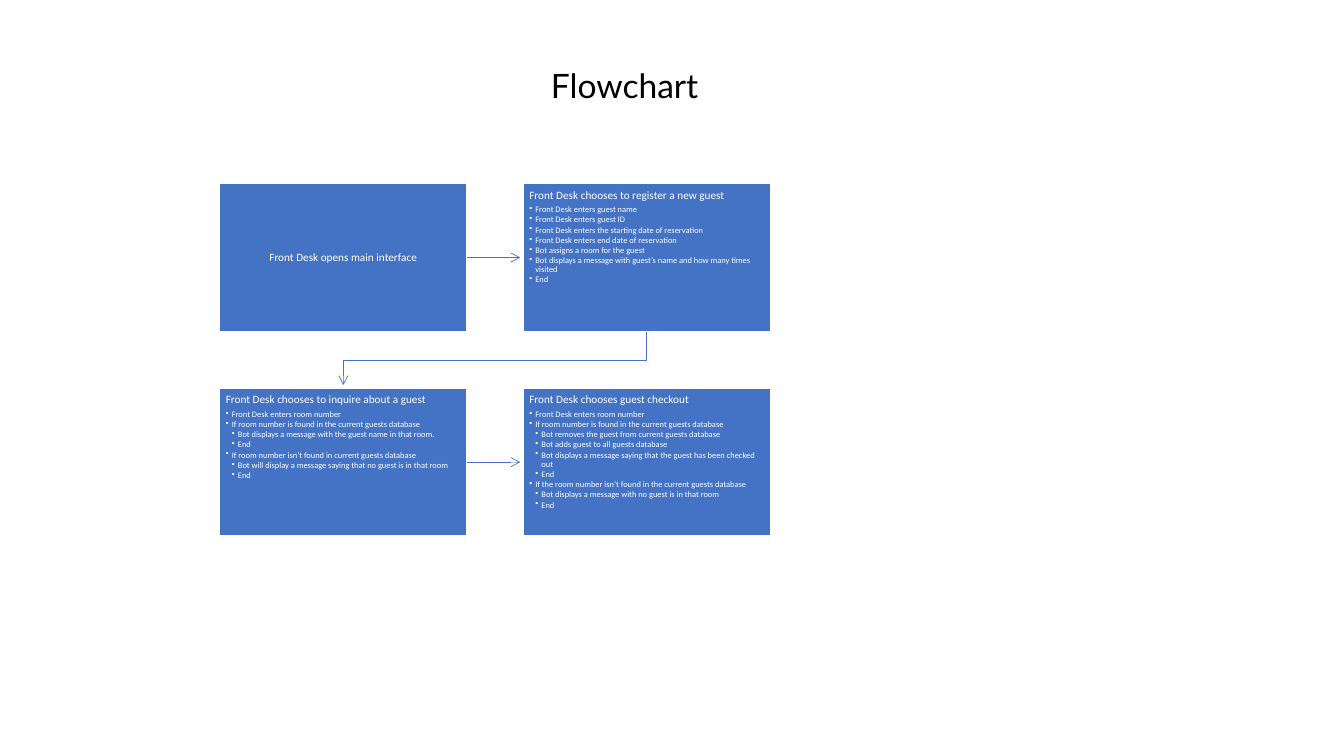
from lxml.etree import SubElement
from pptx import Presentation
from pptx.dml.color import RGBColor
from pptx.enum.shapes import MSO_CONNECTOR, MSO_SHAPE
from pptx.enum.text import MSO_ANCHOR, MSO_AUTO_SIZE, PP_ALIGN
from pptx.oxml.ns import qn
from pptx.util import Inches, Pt

HUES = {"blue": "4472C4", "white": "FFFFFF", "black": "000000"}

# Grid of boxes, in inches
LEFT, TOP = 2.18, 1.82
WIDE, HIGH = 2.45, 1.47
COL, ROW = 3.01, 2.03
INSET = 0.06
GAP = 0.53  # length of an arrow between two boxes

# Each step: column, row, heading, list of (level, line)
STEPS = [
    (0, 0, "Front Desk opens main interface", []),
    (1, 0, "Front Desk chooses to register a new guest", [
        (1, "Front Desk enters guest name"),
        (1, "Front Desk enters guest ID"),
        (1, "Front Desk enters the starting date of reservation"),
        (1, "Front Desk enters end date of reservation"),
        (1, "Bot assigns a room for the guest"),
        (1, "Bot displays a message with guest’s name and how many times visited"),
        (1, "End")]),
    (0, 1, "Front Desk chooses to inquire about a guest", [
        (1, "Front Desk enters room number"),
        (1, "If room number is found in the current guests database"),
        (2, "Bot displays a message with the guest name in that room."),
        (2, "End"),
        (1, "If room number isn’t found in current guests database"),
        (2, "Bot will display a message saying that no guest is in that room"),
        (2, "End")]),
    (1, 1, "Front Desk chooses guest checkout", [
        (1, "Front Desk enters room number"),
        (1, "If room number is found in the current guests database"),
        (2, "Bot removes the guest from current guests database"),
        (2, "Bot adds guest to all guests database"),
        (2, "Bot displays a message saying that the guest has been checked out"),
        (2, "End"),
        (1, "If the room number isn’t found in the current guests database"),
        (2, "Bot displays a message with no guest is in that room"),
        (2, "End")]),
]


def write(para, text, size, font, hue, after=0):
    """Add one run to a paragraph and set its type and spacing."""
    para.line_spacing = 0.9
    para.space_before, para.space_after = Pt(0), Pt(after)
    run = para.add_run()
    run.text = text
    run.font.size, run.font.name = Pt(size), font
    run.font.color.rgb = RGBColor.from_string(HUES[hue])


def link(kind, x, y, end_x, end_y):
    """Draw a thin blue connector with an open arrowhead; lengths in inches."""
    arrow = slide.shapes.add_connector(
        kind, Inches(x), Inches(y), Inches(end_x), Inches(end_y))
    arrow.line.color.rgb = RGBColor.from_string(HUES["blue"])
    arrow.line.width = Pt(0.5)
    SubElement(arrow.line._get_or_add_ln(), qn("a:tailEnd"), type="arrow")
    SubElement(arrow._element.spPr, qn("a:effectLst"))
    return arrow


deck = Presentation()
deck.slide_width, deck.slide_height = Inches(13.33), Inches(7.5)
slide = deck.slides.add_slide(deck.slide_layouts[5])

title = slide.shapes.title
title.left, title.top = Inches(1.37), Inches(0.36)
title.width, title.height = Inches(9.65), Inches(1.02)
frame = title.text_frame
frame.auto_size = MSO_AUTO_SIZE.NONE
frame.vertical_anchor = MSO_ANCHOR.MIDDLE
frame.paragraphs[0].alignment = PP_ALIGN.CENTER
write(frame.paragraphs[0], "Flowchart", 24, "Lato", "black")

# Arrows across each row
for row in range(2):
    x, y = LEFT + WIDE, TOP + row * ROW + HIGH / 2
    link(MSO_CONNECTOR.STRAIGHT, x, y, x + GAP, y)

# Bent arrow from top right to bottom left: a quarter turn about its centre
mid_x = LEFT + (COL + WIDE) / 2
mid_y = TOP + HIGH + GAP / 2
bend = link(MSO_CONNECTOR.ELBOW, mid_x - GAP / 2, mid_y - COL / 2,
            mid_x + GAP / 2, mid_y + COL / 2)
bend._element.spPr.find(qn("a:xfrm")).set("rot", str(90 * 60000))
SubElement(bend._element.spPr.find(qn("a:prstGeom")).find(qn("a:avLst")),
           qn("a:gd"), name="adj1", fmla="val 53000")

for col, row, head, lines in STEPS:
    box = slide.shapes.add_shape(
        MSO_SHAPE.RECTANGLE, Inches(LEFT + col * COL), Inches(TOP + row * ROW),
        Inches(WIDE), Inches(HIGH))
    box.shadow.inherit = False
    box.fill.solid()
    box.fill.fore_color.rgb = RGBColor.from_string(HUES["blue"])
    box.line.color.rgb = RGBColor.from_string(HUES["white"])
    box.line.width = Pt(1)
    frame = box.text_frame
    frame.word_wrap = True
    frame.margin_left = frame.margin_right = Inches(INSET)
    frame.margin_top = frame.margin_bottom = Inches(INSET)
    frame.vertical_anchor = MSO_ANCHOR.TOP if lines else MSO_ANCHOR.MIDDLE
    para = frame.paragraphs[0]
    para.alignment = PP_ALIGN.LEFT if lines else PP_ALIGN.CENTER
    write(para, head, 8, "Calibri", "white", 2.8)
    for level, line in lines:
        para = frame.add_paragraph()
        para.alignment, para.level = PP_ALIGN.LEFT, level
        write(para, line, 6, "Calibri", "white", 0.8)
        props = para._p.get_or_add_pPr()
        props.set("marL", str(Inches(INSET * level)))
        props.set("indent", str(-Inches(INSET)))
        SubElement(props, qn("a:buChar"), char="•")

deck.save("out.pptx")
